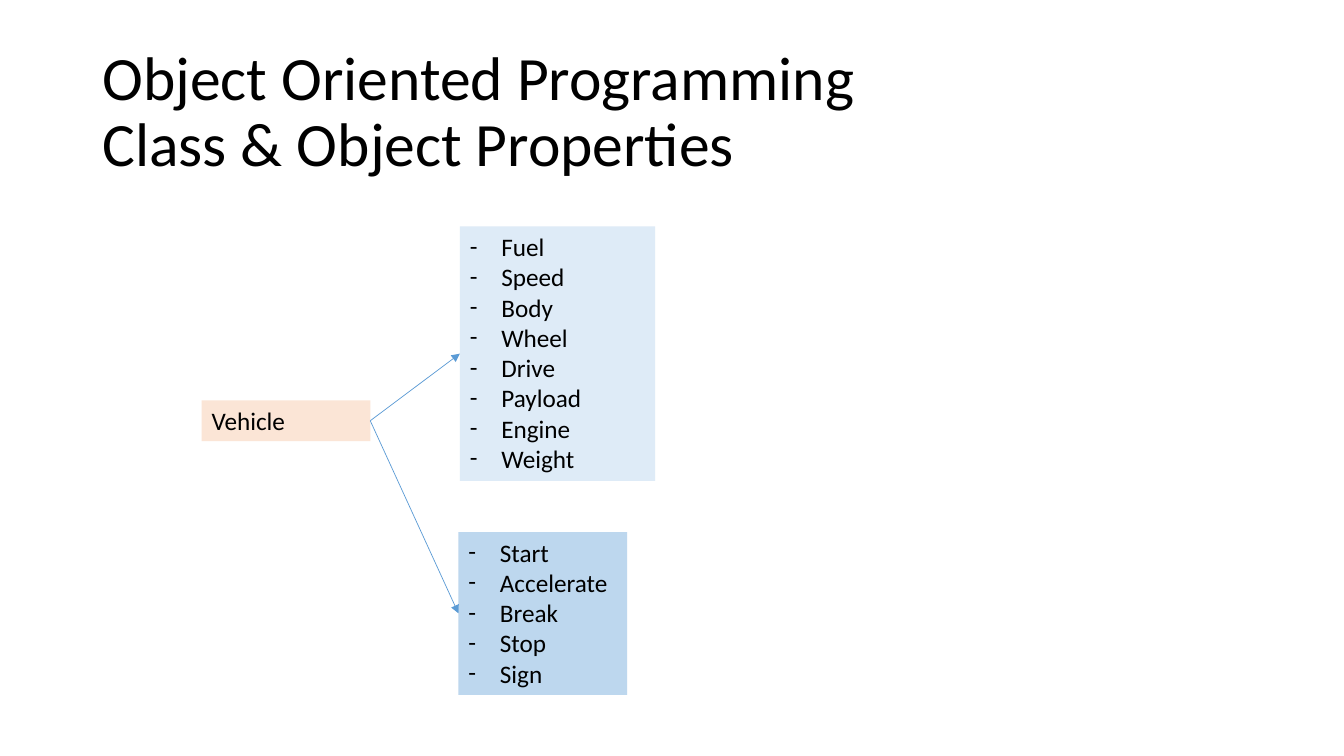
from pptx import Presentation
from pptx.dml.color import RGBColor
from pptx.enum.shapes import MSO_CONNECTOR, MSO_SHAPE
from pptx.enum.text import MSO_ANCHOR, MSO_AUTO_SIZE, PP_ALIGN
from pptx.oxml.ns import qn
from pptx.util import Pt
from lxml import etree

RECTANGLE = MSO_SHAPE.RECTANGLE
STRAIGHT = MSO_CONNECTOR.STRAIGHT
TOP, MIDDLE = MSO_ANCHOR.TOP, MSO_ANCHOR.MIDDLE
LEFT = PP_ALIGN.LEFT
GROW = MSO_AUTO_SIZE.SHAPE_TO_FIT_TEXT

BLACK = RGBColor(0x00, 0x00, 0x00)
PEACH = RGBColor(0xFB, 0xE5, 0xD6)
PALE_BLUE = RGBColor(0xDE, 0xEB, 0xF7)
LIGHT_BLUE = RGBColor(0xBD, 0xD7, 0xEE)
ARROW_BLUE = RGBColor(0x5B, 0x9B, 0xD5)
INDENT = Pt(22.5)
LEFT_SIDE, RIGHT_SIDE = 1, 3  # connection sites of a rectangle


def write(para, text, size=18, bullet=None, spacing=1.0):
    para.text = text
    para.alignment = LEFT
    para.line_spacing = spacing
    para.font.name = "Calibri"
    para.font.size = Pt(size)
    para.font.color.rgb = BLACK
    if bullet:
        properties = para._p.get_or_add_pPr()
        properties.set("marL", str(INDENT))
        properties.set("indent", str(-INDENT))
        mark_font = etree.Element(qn("a:buFont"), typeface="Calibri")
        mark = etree.Element(qn("a:buChar"), char=bullet)
        properties.extend([mark_font, mark])


deck = Presentation()
deck.slide_width, deck.slide_height = Pt(960), Pt(540)
page = deck.slides.add_slide(deck.slide_layouts[5])

# Title
title = page.shapes.title
title.left, title.top, title.width, title.height = Pt(66), Pt(28.75), Pt(828), Pt(104.4)
title.text_frame.word_wrap = True
title.text_frame.auto_size = MSO_AUTO_SIZE.NONE
title.text_frame.vertical_anchor = MIDDLE
write(title.text_frame.paragraphs[0],
      "Object Oriented Programming\vClass & Object Properties", size=44, spacing=0.9)

# Class, its properties and its methods
properties_list = ["Fuel", "Speed", "Body", "Wheel", "Drive", "Payload", "Engine", "Weight"]
methods_list = ["Start", "Accelerate", "Break", "Stop", "Sign"]
boxes = []
for left, top, width, height, color, bullet, lines in [
    (144, 286, 120.5, 29.1, PEACH, None, ["Vehicle"]),
    (328.5, 161.75, 139.5, 181.8, PALE_BLUE, "-", properties_list),
    (327.5, 380, 120.5, 116.3, LIGHT_BLUE, "-", methods_list),
]:
    box = page.shapes.add_shape(RECTANGLE, Pt(left), Pt(top), Pt(width), Pt(height))
    box.shadow.inherit = False
    box.fill.solid()
    box.fill.fore_color.rgb = color
    box.line.fill.background()
    frame = box.text_frame
    frame.word_wrap = True
    frame.auto_size = GROW
    frame.vertical_anchor = TOP
    for index, text in enumerate(lines):
        para = frame.add_paragraph() if index else frame.paragraphs[0]
        write(para, text, bullet=bullet)
    boxes.append(box)

# Arrows from the class to both lists
vehicle, *members = boxes
for member in members:
    arrow = page.shapes.add_connector(STRAIGHT, 0, 0, 0, 0)
    arrow.begin_connect(vehicle, RIGHT_SIDE)
    arrow.end_connect(member, LEFT_SIDE)
    arrow.line.color.rgb = ARROW_BLUE
    arrow.line.width = Pt(0.5)
    etree.SubElement(arrow.line._get_or_add_ln(), qn("a:tailEnd"), type="triangle")
    etree.SubElement(arrow._element.spPr, qn("a:effectLst"))

deck.save("out.pptx")
